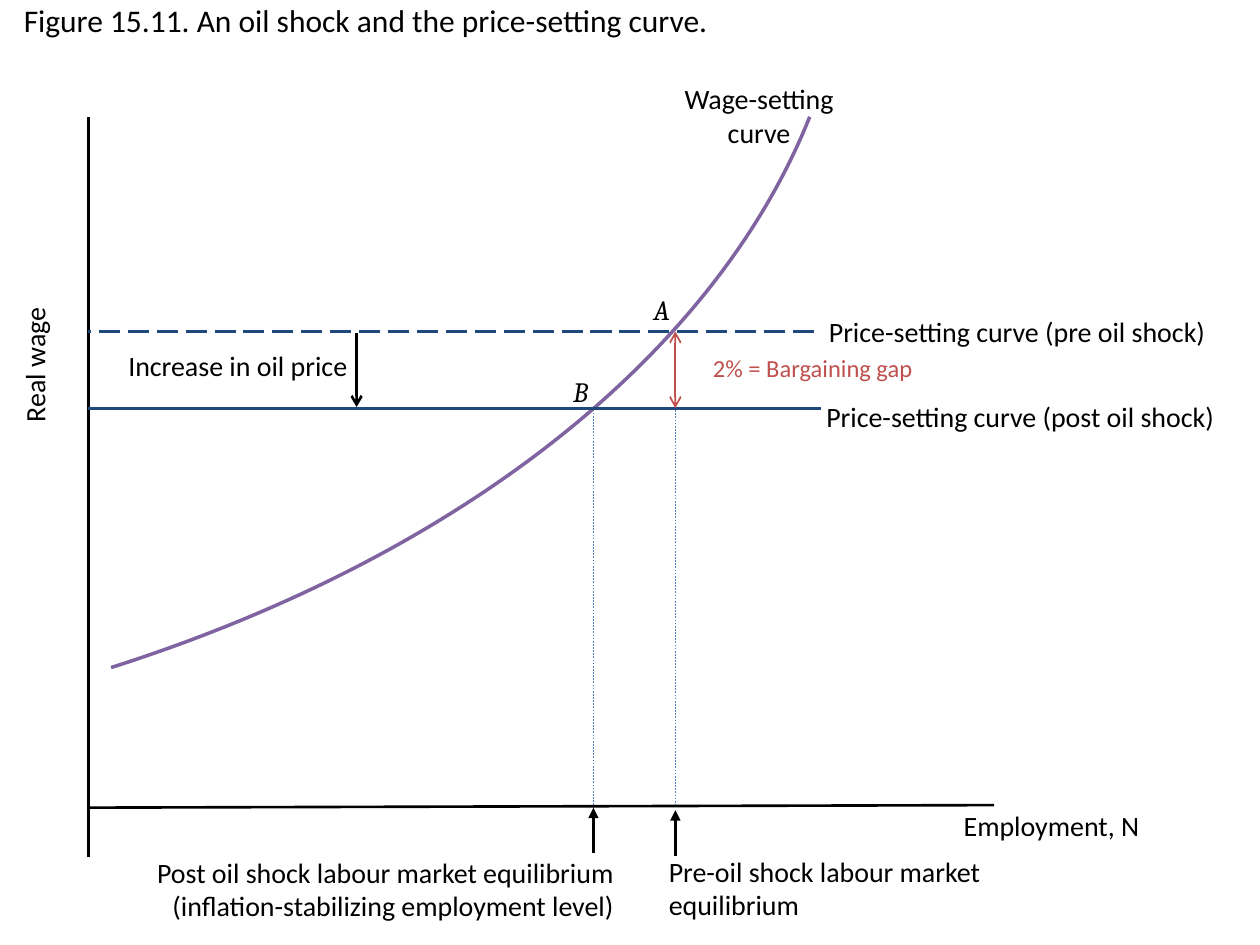
from pptx import Presentation
from pptx.dml.color import RGBColor
from pptx.enum.dml import MSO_LINE_DASH_STYLE as DASH
from pptx.enum.shapes import MSO_CONNECTOR, MSO_SHAPE
from pptx.enum.text import MSO_AUTO_SIZE, PP_ALIGN as ALIGN
from pptx.oxml.ns import qn
from pptx.util import Inches, Pt
from lxml.etree import SubElement

BLACK = RGBColor(0x00, 0x00, 0x00)
NAVY = RGBColor(0x1F, 0x49, 0x7D)
BLUE = RGBColor(0x4F, 0x81, 0xBD)
PURPLE = RGBColor(0x80, 0x64, 0xA2)
RED = RGBColor(0xC0, 0x50, 0x4D)

AXIS_X, AXIS_Y = 0.7, 6.41
PRE_WAGE, POST_WAGE = 2.63, 3.24
PRE_N, POST_N = 5.36, 4.71

WAGE_CURVE_BOX = (-14.6, -7.46, 21.35, 13.48)
WAGE_CURVE_ANGLES = (5.424, 30.832)

GUIDES = [
    ((PRE_N, 2.66), (PRE_N, 6.4), BLUE, 0.25, DASH.DASH, None, None),
    ((POST_N, 3.25), (POST_N, AXIS_Y), BLUE, 0.25, DASH.DASH, None, None),
]
LINES = [
    ((7.89, 6.39), (AXIS_X, AXIS_Y), BLACK, 1.5, None, None, None),
    ((AXIS_X, 0.93), (AXIS_X, 6.8), BLACK, 1.5, None, None, None),
    ((6.46, PRE_WAGE), (AXIS_X, PRE_WAGE), NAVY, 1.5, DASH.LONG_DASH, None, None),
    ((6.52, POST_WAGE), (AXIS_X, POST_WAGE), NAVY, 1.5, None, None, None),
    ((PRE_N, 6.43), (PRE_N, 6.79), BLACK, 1.5, None, "triangle", None),
    ((POST_N, AXIS_Y), (POST_N, 6.77), BLACK, 1.5, None, "triangle", None),
    ((PRE_N, PRE_WAGE), (PRE_N, POST_WAGE), RED, 1, None, "arrow", "arrow"),
    ((2.83, 3.23), (2.83, 2.64), BLACK, 1.5, None, "arrow", None),
]

LABELS = [
    (["Figure 15.11. An oil shock and the price-setting curve."],
     (0.09, -0.04, 9.91, 0.4), {"size": 18}),
    (["Wage-setting", "curve"], (5.31, 0.6, 1.43, 0.64), {"align": ALIGN.CENTER}),
    (["Price-setting curve (post oil shock)"], (6.46, 3.12, 3.4, 0.37), {}),
    (["Pre-oil shock labour market equilibrium"], (5.21, 6.73, 3.24, 0.64), {}),
    (["Employment, N"], (7.55, 6.37, 1.62, 0.37), {"wrap": False}),
    (["Real wage"], (-1.69, 2.71, 3.93, 0.37),
     {"align": ALIGN.CENTER, "rotation": 270}),
    (["Post oil shock labour market equilibrium (inflation-stabilizing employment level)"],
     (0.69, 6.74, 4.28, 0.64), {"align": ALIGN.RIGHT}),
    (["Price-setting curve (pre oil shock)"], (6.48, 2.45, 3.91, 0.37), {}),
    (["2% = Bargaining gap"], (5.56, 2.75, 1.81, 0.34),
     {"size": 14, "color": RED, "wrap": False}),
    (["Increase in oil price"], (0.92, 2.72, 2.04, 0.37), {}),
    (["A"], (5.09, 2.27, 0.53, 0.37), {"font": "Cambria", "italic": True}),
    (["B"], (4.45, 2.92, 0.53, 0.37), {"font": "Cambria", "italic": True}),
]


def add_line(s, start, end, color, width, dash, head, tail):
    line = s.shapes.add_connector(
        MSO_CONNECTOR.STRAIGHT, *(Inches(v) for v in start + end))
    line.line.color.rgb = color
    line.line.width = Pt(width)
    if dash is not None:
        line.line.dash_style = dash
    ln = line.line._get_or_add_ln()
    for tag, kind in (("a:headEnd", head), ("a:tailEnd", tail)):
        if kind:
            SubElement(ln, qn(tag), type=kind)
    SubElement(line._element.spPr, qn("a:effectLst"))


def add_wage_curve(s):
    sp = s.shapes.add_shape(MSO_SHAPE.ARC, *(Inches(v) for v in WAGE_CURVE_BOX))
    for i, angle in enumerate(WAGE_CURVE_ANGLES):
        sp.adjustments[i] = angle
    sp.shadow.inherit = False
    sp.fill.background()
    sp.line.color.rgb = PURPLE
    sp.line.width = Pt(2)


def add_label(s, paragraphs, box, size=16, color=BLACK, font="Calibri",
              italic=None, align=ALIGN.LEFT, rotation=0, wrap=True):
    sp = s.shapes.add_textbox(*(Inches(v) for v in box))
    sp.rotation = rotation
    tf = sp.text_frame
    tf.word_wrap = wrap
    tf.auto_size = MSO_AUTO_SIZE.SHAPE_TO_FIT_TEXT
    tf.text = "\n".join(paragraphs)
    for p in tf.paragraphs:
        p.alignment = align
        p.font.name = font
        p.font.size = Pt(size)
        p.font.italic = italic
        p.font.color.rgb = color


def main():
    prs = Presentation()
    prs.slide_width, prs.slide_height = Inches(10), Inches(7.5)
    s = prs.slides.add_slide(prs.slide_layouts[6])
    for guide in GUIDES:
        add_line(s, *guide)
    add_wage_curve(s)
    for line in LINES:
        add_line(s, *line)
    for paragraphs, box, style in LABELS:
        add_label(s, paragraphs, box, **style)
    prs.save("out.pptx")


if __name__ == "__main__":
    main()
